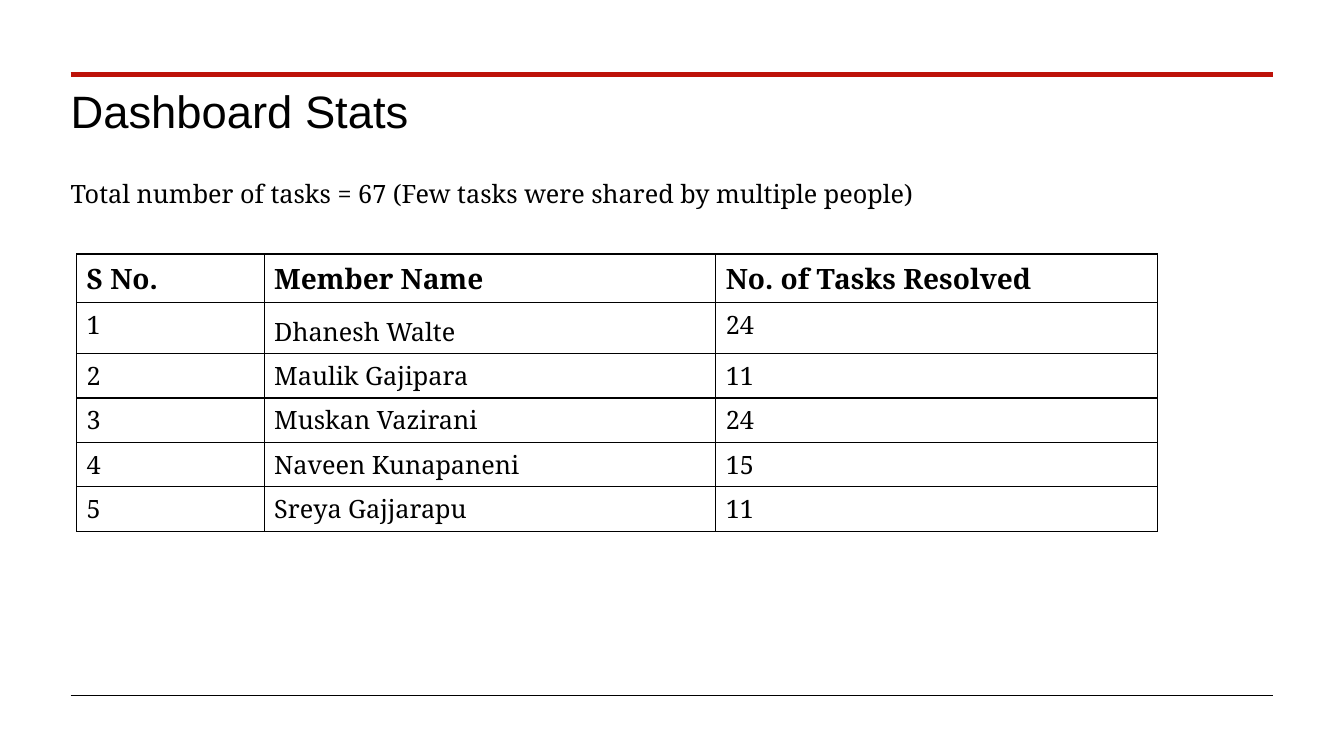
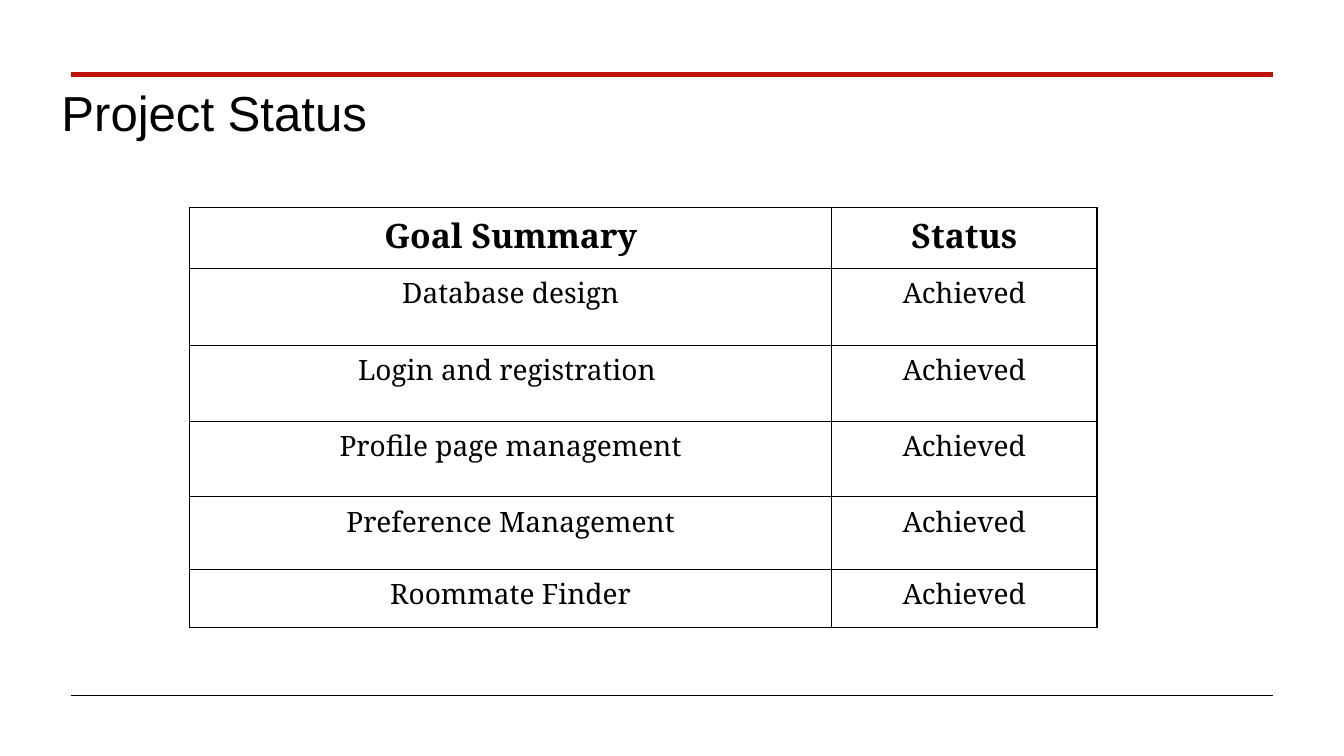
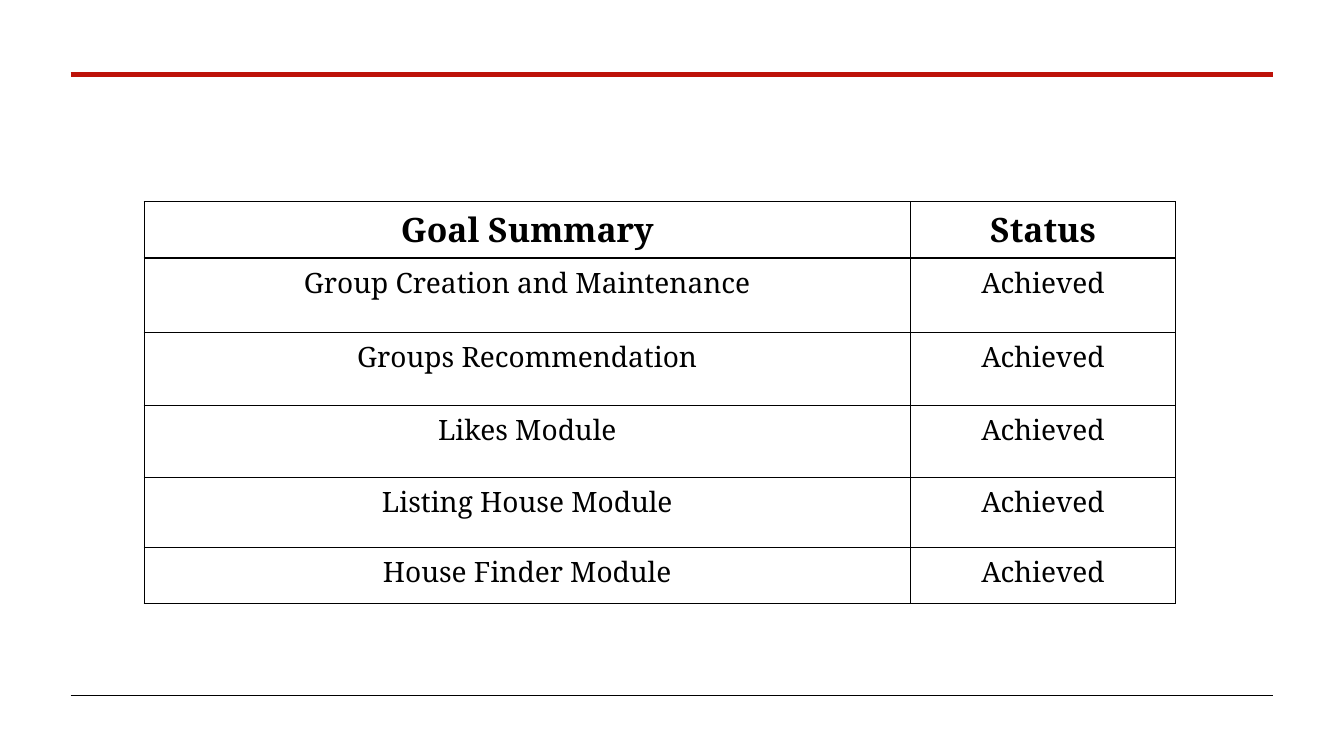
"""Build three project report slides with ruled tables."""
from dataclasses import dataclass
from lxml.etree import SubElement
from pptx import Presentation
from pptx.dml.color import RGBColor
from pptx.enum.shapes import MSO_CONNECTOR
from pptx.enum.text import MSO_ANCHOR, MSO_AUTO_SIZE, PP_ALIGN
from pptx.oxml.ns import qn
from pptx.util import Inches, Pt

GOAL_HEADER = ("Goal Summary", "Status")
SLIDES = [
    {
        "title": "Dashboard Stats",
        "title_size": 32.4,
        "title_left": 0.6,
        "subtitle": "Total number of tasks = 67 (Few tasks were shared by multiple people)",
        "table": {
            "left": 0.76, "top": 2.52,
            "columns": (1.86, 4.48, 4.38),
            "heights": (0.46,) + (0.42,) * 5,
            "sizes": (20, 18),
            "align": PP_ALIGN.LEFT,
            "spaced": {(1, 1): {"line_spacing": 1.2, "space_before": Pt(10)}},
            "rows": [
                ("S No.", "Member Name", "No. of Tasks Resolved"),
                ("1", "Dhanesh Walte", "24"),
                ("2", "Maulik\u00a0Gajipara", "11"),
                ("3", "Muskan Vazirani", "24"),
                ("4", "Naveen\u00a0Kunapaneni", "15"),
                ("5", "Sreya\u00a0Gajjarapu", "11"),
            ],
        },
    },
    {
        "title": "Project Status",
        "title_size": 35.1,
        "title_left": 0.51,
        "table": {
            "left": 1.88, "top": 2.06,
            "columns": (6.37, 2.63),
            "heights": (0.6, 0.77, 0.75, 0.75, 0.72, 0.58),
            "sizes": (24, 20),
            "align": PP_ALIGN.CENTER,
            "rows": [GOAL_HEADER] + [(goal, "Achieved") for goal in (
                "Database design", "Login and registration\u00a0",
                "Profile page management", "Preference Management",
                "Roommate Finder")],
        },
    },
    {
        "table": {
            "left": 1.43, "top": 2,
            "columns": (7.6, 2.63),
            "heights": (0.56, 0.74, 0.72, 0.72, 0.69, 0.56),
            "sizes": (24, 20),
            "align": PP_ALIGN.CENTER,
            "rows": [GOAL_HEADER] + [(goal, "Achieved") for goal in (
                "Group Creation and Maintenance", "Groups Recommendation",
                "Likes Module", "Listing House Module",
                "House Finder Module")],
        },
    },
]


@dataclass(frozen=True)
class Theme:
    ink: str = "000000"
    paper: str = "FFFFFF"
    accent: str = "BD1209"
    title_font: str = "Arial"
    body_font: str = "Noto Serif"
    subtitle_size: float = 18
    subtitle_gap: float = 32
    title_spacing: float = 0.85
    border: float = 1


THEME = Theme()
RULES = [(0.74, THEME.accent, 3), (6.9, THEME.ink, 0.5)]
RULE_LEFT, RULE_RIGHT = 0.7, 12.63
TITLE_TOP, TITLE_WIDTH, TITLE_HEIGHT = 0.86, 12.02, 1.36


def assign(target, values):
    for name, value in values.items():
        setattr(target, name, value)


def write(para, text, font, size, bold=False, **layout):
    assign(para, layout)
    span = para.add_run()
    span.text = text
    assign(span.font, {"name": font, "size": Pt(size), "bold": bold})
    span.font.color.rgb = RGBColor.from_string(THEME.ink)


def add_master_rules(deck, page):
    tree = deck.slide_master.element.cSld.spTree
    for number, (top, color, width) in enumerate(RULES, start=20):
        rule = page.shapes.add_connector(
            MSO_CONNECTOR.STRAIGHT, Inches(RULE_LEFT), Inches(top),
            Inches(RULE_RIGHT), Inches(top))
        rule.line.color.rgb = RGBColor.from_string(color)
        rule.line.width = Pt(width)
        SubElement(rule.element.spPr, qn("a:effectLst"))
        rule.element.nvCxnSpPr.cNvPr.set("id", str(number))
        tree.append(rule.element)


def fill_title(page, content):
    box = page.shapes.title
    assign(box, {"left": Inches(content["title_left"]), "top": Inches(TITLE_TOP),
                 "width": Inches(TITLE_WIDTH), "height": Inches(TITLE_HEIGHT)})
    frame = box.text_frame
    assign(frame, {"word_wrap": True, "auto_size": MSO_AUTO_SIZE.NONE,
                   "vertical_anchor": MSO_ANCHOR.TOP})
    layout = {"alignment": PP_ALIGN.LEFT, "line_spacing": THEME.title_spacing}
    write(frame.paragraphs[0], content["title"], THEME.title_font,
          content["title_size"], **layout)
    if "subtitle" in content:
        write(frame.add_paragraph(), content["subtitle"], THEME.body_font,
              THEME.subtitle_size, space_before=Pt(THEME.subtitle_gap), **layout)


def style_cell(cell):
    properties = cell._tc.get_or_add_tcPr()
    for side in ("a:lnL", "a:lnR", "a:lnT", "a:lnB"):
        edge = SubElement(properties, qn(side), w=str(Pt(THEME.border)))
        SubElement(SubElement(edge, qn("a:solidFill")), qn("a:srgbClr"), val=THEME.ink)
    cell.fill.solid()
    cell.fill.fore_color.rgb = RGBColor.from_string(THEME.paper)


def add_grid(page, content):
    rows, columns, heights = (content[key] for key in ("rows", "columns", "heights"))
    table = page.shapes.add_table(
        len(rows), len(columns), Inches(content["left"]), Inches(content["top"]),
        Inches(sum(columns)), Inches(sum(heights))).table
    for column, width in zip(table.columns, columns):
        column.width = Inches(width)
    for row, height in zip(table.rows, heights):
        row.height = Inches(height)
    header_size, body_size = content["sizes"]
    for row_index, texts in enumerate(rows):
        is_header = row_index == 0
        for column_index, text in enumerate(texts):
            cell = table.cell(row_index, column_index)
            style_cell(cell)
            spacing = content.get("spaced", {}).get((row_index, column_index), {})
            write(cell.text_frame.paragraphs[0], text, THEME.body_font,
                  header_size if is_header else body_size, is_header,
                  alignment=content["align"], **spacing)


deck = Presentation()
assign(deck, {"slide_width": Inches(13.33), "slide_height": Inches(7.5)})
title_layout = deck.slide_layouts.get_by_name("Title Only")
blank_layout = deck.slide_layouts.get_by_name("Blank")
for content in SLIDES:
    page = deck.slides.add_slide(title_layout if "title" in content else blank_layout)
    if "title" in content:
        fill_title(page, content)
    add_grid(page, content["table"])
add_master_rules(deck, deck.slides[0])
deck.save("out.pptx")
